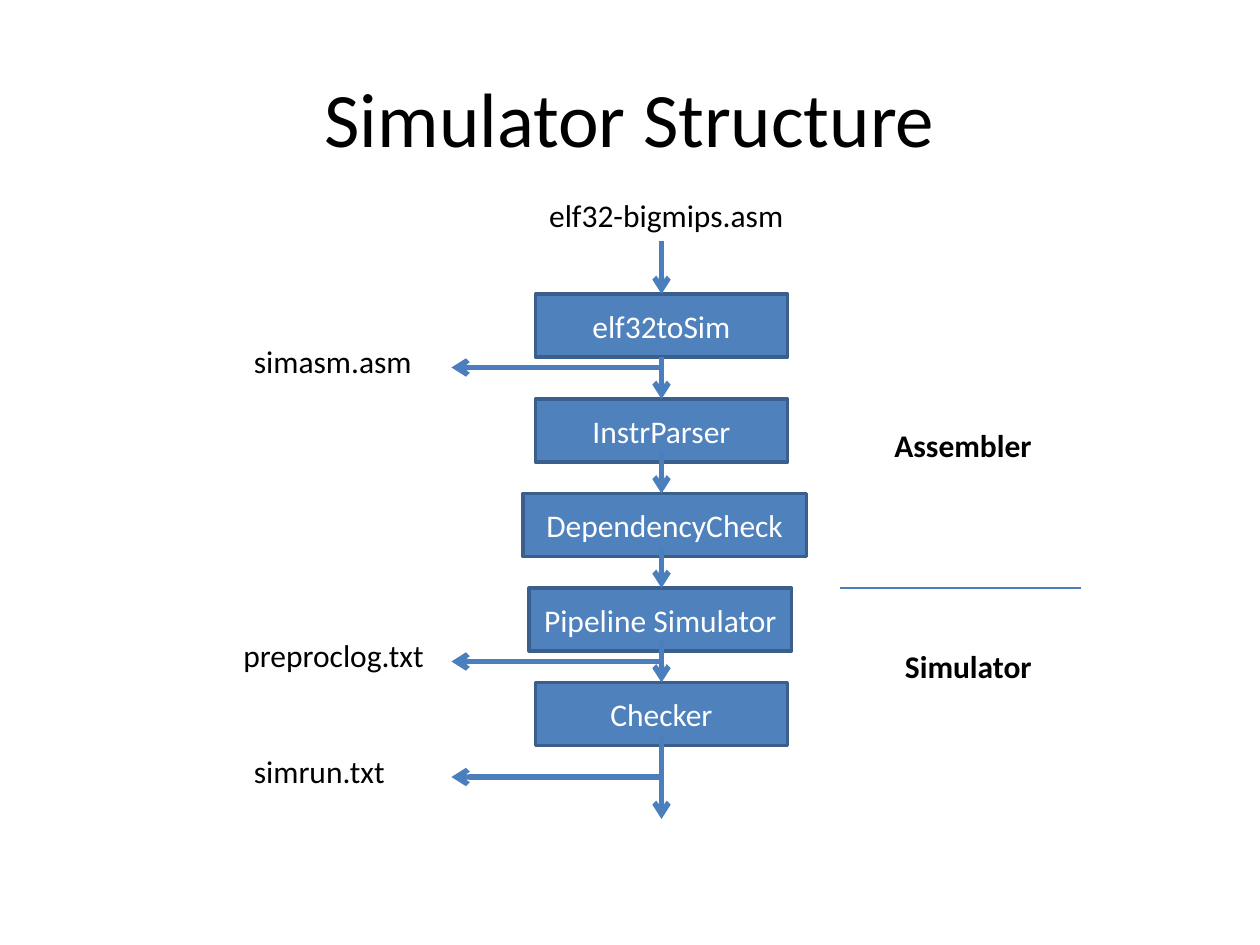
from lxml import etree
from pptx import Presentation
from pptx import util as u
from pptx.dml.color import RGBColor
from pptx.enum import shapes, text
from pptx.oxml.ns import qn


def rgb(value):
    return RGBColor.from_string(value)


class Diagram:
    font, size = "Calibri", 18
    ink, white = "000000", "FFFFFF"
    fill, border, flow = "4F81BD", "3A5F8C", "4B7EBC"

    def __init__(self, s):
        self.s = s

    def add_text(self, tf, words, color, size=size, bold=False, align=text.PP_ALIGN.LEFT):
        p = tf.paragraphs[0]
        p.alignment = align
        r = p.add_run()
        r.text = words
        r.font.name, r.font.size, r.font.bold = self.font, u.Pt(size), bold
        r.font.color.rgb = rgb(color)

    def title(self, words, x, y, w, h):
        sp = self.s.shapes.title
        sp.left, sp.top, sp.width, sp.height = map(u.Pt, (x, y, w, h))
        sp.text_frame.vertical_anchor = text.MSO_ANCHOR.MIDDLE
        self.add_text(sp.text_frame, words, self.ink, 44, align=text.PP_ALIGN.CENTER)

    def box(self, words, x, y, w, h):
        sp = self.s.shapes.add_shape(shapes.MSO_SHAPE.RECTANGLE, *map(u.Pt, (x, y, w, h)))
        sp.shadow.inherit = False
        sp.fill.solid()
        sp.fill.fore_color.rgb = rgb(self.fill)
        sp.line.color.rgb = rgb(self.border)
        sp.line.width = u.Pt(2)
        sp.text_frame.vertical_anchor = text.MSO_ANCHOR.MIDDLE
        self.add_text(sp.text_frame, words, self.white, align=text.PP_ALIGN.CENTER)

    def label(self, words, x, y, w, bold=False):
        sp = self.s.shapes.add_textbox(*map(u.Pt, (x, y, w, 29)))
        tf = sp.text_frame
        tf.word_wrap = False
        tf.auto_size = text.MSO_AUTO_SIZE.SHAPE_TO_FIT_TEXT
        self.add_text(tf, words, self.ink, bold=bold)

    def line(self, x1, y1, x2, y2, width=3, arrow=True):
        c = self.s.shapes.add_connector(
            shapes.MSO_CONNECTOR.STRAIGHT, *map(u.Pt, (x1, y1, x2, y2)))
        c.line.color.rgb = rgb(self.flow)
        c.line.width = u.Pt(width)
        props = c._element.spPr
        if arrow:
            etree.SubElement(props.find(qn("a:ln")), qn("a:tailEnd"), type="arrow")
        etree.SubElement(props, qn("a:effectLst"))


prs = Presentation()
prs.slide_width, prs.slide_height = u.Pt(720), u.Pt(540)
d = Diagram(prs.slides.add_slide(prs.slide_layouts[5]))
d.title("Simulator Structure", 36, 21.6, 648, 90)

# Processing stages
for words, x, y, w in [
    ("elf32toSim", 306, 168, 144),
    ("InstrParser", 306, 228, 144),
    ("DependencyCheck", 298.8, 282, 162),
    ("Pipeline Simulator", 302.4, 336, 150),
    ("Checker", 306, 390, 144),
]:
    d.box(words, x, y, w, 36)

# Main flow down the centre
center = 378
for start, end in [(138, 168), (204, 228), (258, 282), (312, 336), (366, 390), (420, 468)]:
    d.line(center, start, center, end)

# Output files on the left
for words, x, y, w, arrow_y in [
    ("simasm.asm", 138, 192, 106.6, 210),
    ("simrun.txt", 138, 426, 91.4, 444),
    ("preproclog.txt", 132, 360, 118.8, 378),
]:
    d.line(center, arrow_y, 258, arrow_y)
    d.label(words, x, y, w)

# Input file
d.label("elf32-bigmips.asm", 306.7, 108.7, 149.8)

# Assembler and simulator halves
d.line(480, 336, 618, 336, width=0.75, arrow=False)
d.label("Assembler", 504, 240, 93.6, bold=True)
d.label("Simulator", 510, 366, 87.8, bold=True)

prs.save("out.pptx")
